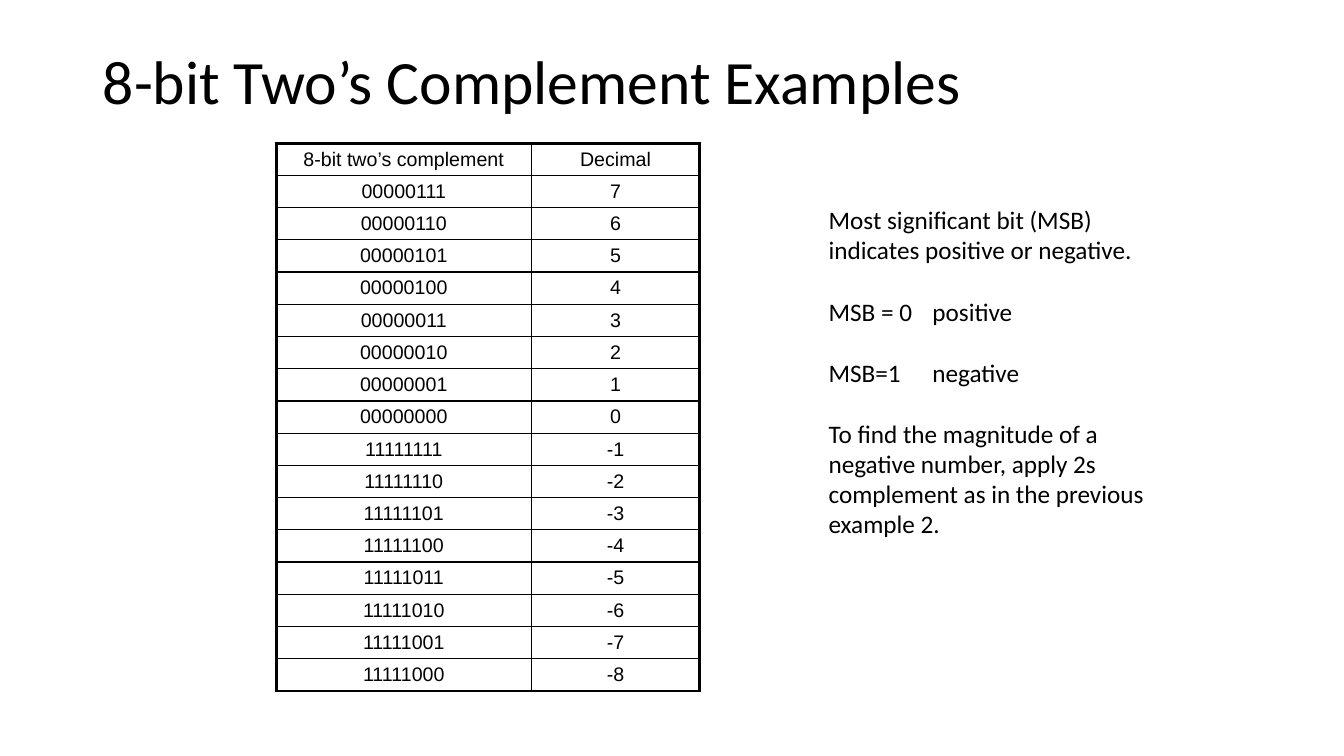
from lxml import etree
from pptx import Presentation
from pptx.dml.color import RGBColor
from pptx.enum.text import MSO_ANCHOR, MSO_AUTO_SIZE, PP_ALIGN
from pptx.oxml.ns import qn
from pptx.util import Emu, Inches, Pt

TITLE = "8-bit Two’s Complement Examples"
HEADER = ("8-bit two’s complement", "Decimal")
DECIMALS = range(7, -9, -1)
NOTES = [
    "Most significant bit (MSB) indicates positive or negative.",
    "MSB = 0\tpositive",
    "MSB=1\tnegative",
    "To find the magnitude of a negative number, apply 2s complement as in the previous example 2.",
]

BLACK = RGBColor(0, 0, 0)
CENTER, LEFT = PP_ALIGN.CENTER, PP_ALIGN.LEFT
TOP, MIDDLE = MSO_ANCHOR.TOP, MSO_ANCHOR.MIDDLE
GROW, NO_AUTOSIZE = MSO_AUTO_SIZE.SHAPE_TO_FIT_TEXT, MSO_AUTO_SIZE.NONE
TITLE_ONLY = 5
COLUMN_WIDTHS = (2.53, 1.67)
ROW_HEIGHT = 0.32
OUTER_LINE, INNER_LINE = Pt(2.25), Pt(1)
TAB_STOP = Inches(1.03)


def format_text(paragraph, font_name, size, alignment):
    paragraph.alignment = alignment
    for run in paragraph.runs:
        run.font.name = font_name
        run.font.size = Pt(size)
        run.font.color.rgb = BLACK


def set_borders(cell, outer_sides):
    properties = cell._tc.get_or_add_tcPr()
    for index, side in enumerate(("L", "R", "T", "B")):
        width = OUTER_LINE if side in outer_sides else INNER_LINE
        line = etree.Element(qn(f"a:ln{side}"), w=str(int(width)))
        fill = etree.SubElement(line, qn("a:solidFill"))
        etree.SubElement(fill, qn("a:srgbClr"), val=str(BLACK))
        properties.insert(index, line)


def add_title(slide):
    title = slide.shapes.title
    title.left, title.top = Inches(0.92), Inches(0.11)
    title.width, title.height = Inches(11.5), Inches(1.45)
    frame = title.text_frame
    frame.text = TITLE
    frame.auto_size = NO_AUTOSIZE
    frame.vertical_anchor = MIDDLE
    frame.paragraphs[0].line_spacing = 0.9
    format_text(frame.paragraphs[0], "Calibri", 44, LEFT)


def add_number_table(slide):
    rows = [HEADER] + [(f"{number & 0xFF:08b}", str(number)) for number in DECIMALS]
    last_row, last_column = len(rows) - 1, len(HEADER) - 1
    table = slide.shapes.add_table(
        len(rows), len(HEADER), Inches(2.74), Inches(1.42),
        Inches(sum(COLUMN_WIDTHS)), Inches(ROW_HEIGHT * len(rows))).table
    table.first_row = table.horz_banding = False
    for column, width in zip(table.columns, COLUMN_WIDTHS):
        column.width = Inches(width)
    for row_index, values in enumerate(rows):
        table.rows[row_index].height = Inches(ROW_HEIGHT)
        for column_index, value in enumerate(values):
            cell = table.cell(row_index, column_index)
            cell.text_frame.text = value
            cell.vertical_anchor = MIDDLE
            cell.margin_top = cell.margin_bottom = Inches(0.04)
            cell.fill.background()
            format_text(cell.text_frame.paragraphs[0], "Arial", 14, CENTER)
            edges = {"L": column_index == 0, "R": column_index == last_column,
                     "T": row_index == 0, "B": row_index == last_row}
            set_borders(cell, [side for side, outer in edges.items() if outer])


def add_notes(slide):
    box = slide.shapes.add_textbox(Inches(8.12), Inches(1.98), Inches(3.73), Inches(5.25))
    frame = box.text_frame
    frame.word_wrap = True
    frame.auto_size = GROW
    frame.vertical_anchor = TOP
    frame.text = "\n".join(NOTES)
    for paragraph in frame.paragraphs:
        format_text(paragraph, "Calibri", 18, LEFT)
        paragraph.space_after = Pt(22)
        if "\t" in paragraph.text:
            tabs = etree.SubElement(paragraph._p.get_or_add_pPr(), qn("a:tabLst"))
            etree.SubElement(tabs, qn("a:tab"), pos=str(int(TAB_STOP)), algn="l")
    frame.paragraphs[-1].space_after = Emu(0)


def main():
    presentation = Presentation()
    presentation.slide_width, presentation.slide_height = Inches(13.33), Inches(7.5)
    slide = presentation.slides.add_slide(presentation.slide_layouts[TITLE_ONLY])
    add_title(slide)
    add_number_table(slide)
    add_notes(slide)
    presentation.save("out.pptx")


if __name__ == "__main__":
    main()
